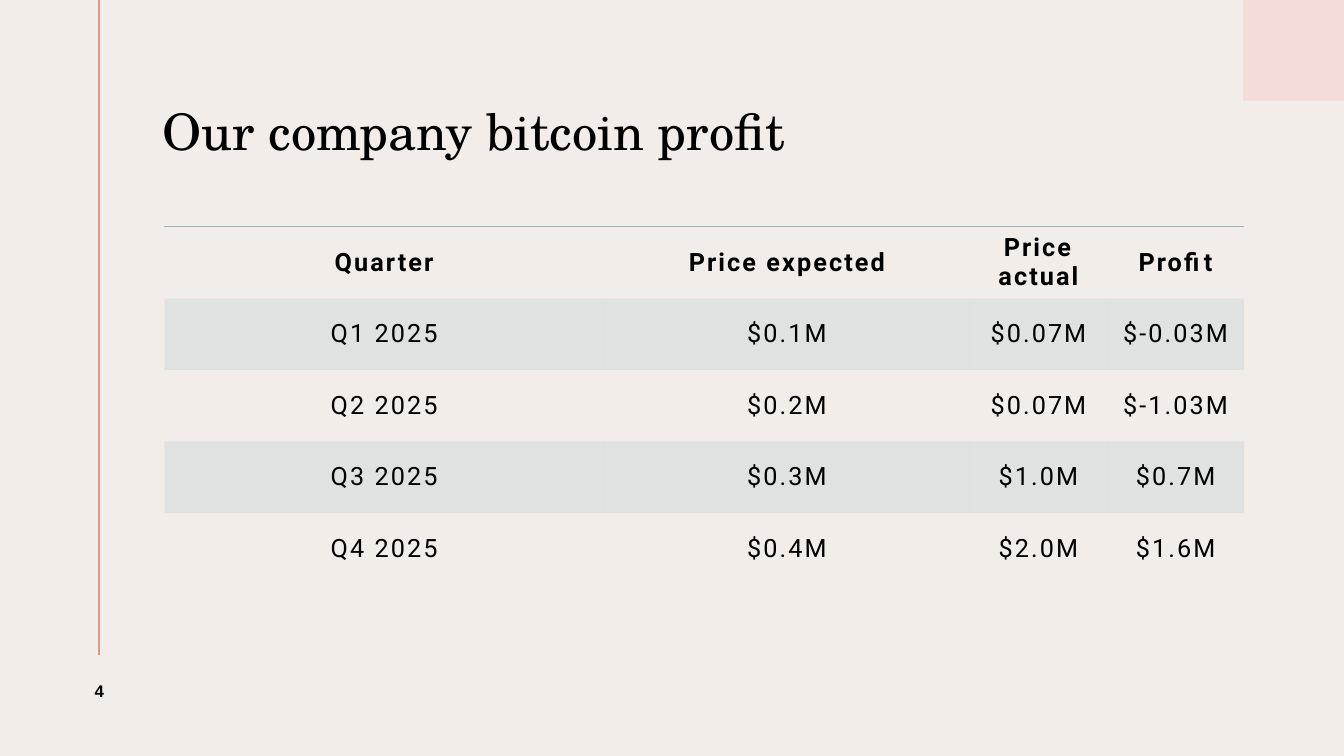
from dataclasses import dataclass

from lxml.etree import SubElement
from pptx import Presentation
from pptx.dml.color import RGBColor
from pptx.enum.shapes import MSO_CONNECTOR as Connector, MSO_SHAPE as Shape
from pptx.enum.text import MSO_ANCHOR as Anchor, MSO_AUTO_SIZE as AutoSize, PP_ALIGN as Align
from pptx.oxml import parse_xml
from pptx.oxml.ns import nsdecls, qn
from pptx.util import Inches, Pt


@dataclass(frozen=True)
class Theme:
    background: str = "F3EDEA"
    corner: str = "F4DDD8"
    rule: str = "DF998B"
    accent: str = "95B8BF"
    text: str = "000000"
    title_font: str = "TeX Gyre Schola"
    table_font: str = "Roboto"
    number_font: str = "Arial"
    title_size: float = 36
    table_size: float = 18
    number_size: float = 12
    letter_spacing: float = 1.5
    band_opacity: int = 20


THEME = Theme()
PROFIT_ROWS = [
    ("Quarter", "Price expected", "Price actual", "Profit"),
    ("Q1 2025", "$0.1M", "$0.07M", "$-0.03M"),
    ("Q2 2025", "$0.2M", "$0.07M", "$-1.03M"),
    ("Q3 2025", "$0.3M", "$1.0M", "$0.7M"),
    ("Q4 2025", "$0.4M", "$2.0M", "$1.6M"),
]
COLUMN_WIDTHS = (4.36, 3.63, 1.36, 1.36)
ROW_HEIGHT = 0.71
INSET = Inches(0.05)


def box(*lengths):
    return [Inches(length) for length in lengths]


def apply_format(target, values):
    for name, value in values.items():
        setattr(target, name, value)


def margins(size):
    return {f"margin_{side}": size for side in ("left", "top", "right", "bottom")}


def write(frame, text, font, size, bold=False, align=Align.CENTER, spacing=0):
    paragraph = frame.paragraphs[0]
    paragraph.alignment = align
    run = paragraph.add_run()
    run.text = text
    apply_format(run.font, {"name": font, "size": Pt(size), "bold": bold})
    run.font.color.rgb = RGBColor.from_string(THEME.text)
    if spacing:
        run.font._element.set("spc", str(round(spacing * 100)))
    return paragraph


# Decoration
def add_corner(slide):
    corner = slide.shapes.add_shape(Shape.RECTANGLE, *box(12.33, 0, 1, 1))
    corner.shadow.inherit = False
    corner.fill.solid()
    corner.fill.fore_color.rgb = RGBColor.from_string(THEME.corner)
    corner.line.fill.background()


def add_rule(slide):
    rule = slide.shapes.add_connector(Connector.STRAIGHT, *box(0.98, 0, 0.98, 6.5))
    rule.line.color.rgb = RGBColor.from_string(THEME.rule)
    rule.line.width = Pt(1.5)
    SubElement(rule._element.spPr, qn("a:effectLst"))


# Title and page number
def set_title(slide, text):
    title = slide.shapes.title
    left, top, width, height = box(1.61, 0.55, 10.73, 1.56)
    apply_format(title, {"left": left, "top": top, "width": width, "height": height})
    apply_format(title.text_frame, {
        "vertical_anchor": Anchor.MIDDLE, "word_wrap": True,
        "auto_size": AutoSize.NONE, **margins(0),
    })
    paragraph = write(title.text_frame, text, THEME.title_font, THEME.title_size,
                      align=Align.LEFT)
    paragraph.line_spacing = 0.9


def add_page_number(slide, number):
    frame = slide.shapes.add_textbox(*box(0.87, 6.71, 0.23, 0.29)).text_frame
    apply_format(frame, {
        "vertical_anchor": Anchor.MIDDLE, "word_wrap": False,
        "auto_size": AutoSize.SHAPE_TO_FIT_TEXT, **margins(INSET),
    })
    write(frame, number, THEME.number_font, THEME.number_size, bold=True,
          spacing=THEME.letter_spacing)


# Table
def set_borders(cell, is_header):
    properties = cell._tc.get_or_add_tcPr()
    for position, side in enumerate("LRTB"):
        if is_header and side in "TB":
            paint = f'<a:solidFill><a:srgbClr val="{THEME.accent}"/></a:solidFill>'
        else:
            paint = "<a:noFill/>"
        border = f'<a:ln{side} {nsdecls("a")} w="{Pt(1)}">{paint}</a:ln{side}>'
        properties.insert(position, parse_xml(border))


def fill_band(cell):
    cell.fill.solid()
    cell.fill.fore_color.rgb = RGBColor.from_string(THEME.accent)
    colour = cell._tc.tcPr.find(".//" + qn("a:srgbClr"))
    SubElement(colour, qn("a:alpha"), val=str(THEME.band_opacity * 1000))


def add_profit_table(slide):
    size = len(PROFIT_ROWS), len(COLUMN_WIDTHS)
    table = slide.shapes.add_table(
        *size, *box(1.63, 2.25, sum(COLUMN_WIDTHS), ROW_HEIGHT * len(PROFIT_ROWS))).table
    apply_format(table, {"first_row": True, "horz_banding": False})
    for column, width in zip(table.columns, COLUMN_WIDTHS):
        column.width = Inches(width)
    for index, (row, values) in enumerate(zip(table.rows, PROFIT_ROWS)):
        row.height = Inches(ROW_HEIGHT)
        for cell, value in zip(row.cells, values):
            apply_format(cell, {"vertical_anchor": Anchor.MIDDLE, **margins(INSET)})
            write(cell.text_frame, value, THEME.table_font, THEME.table_size,
                  bold=index == 0, spacing=THEME.letter_spacing)
            if index % 2:
                fill_band(cell)
            else:
                cell.fill.background()
            set_borders(cell, is_header=index == 0)


def main():
    deck = Presentation()
    apply_format(deck, {"slide_width": Inches(13.33), "slide_height": Inches(7.5)})
    slide = deck.slides.add_slide(deck.slide_layouts[5])
    slide.background.fill.solid()
    slide.background.fill.fore_color.rgb = RGBColor.from_string(THEME.background)
    add_corner(slide)
    add_rule(slide)
    set_title(slide, "Our company bitcoin profit")
    add_profit_table(slide)
    add_page_number(slide, "4")
    deck.save("out.pptx")


if __name__ == "__main__":
    main()
